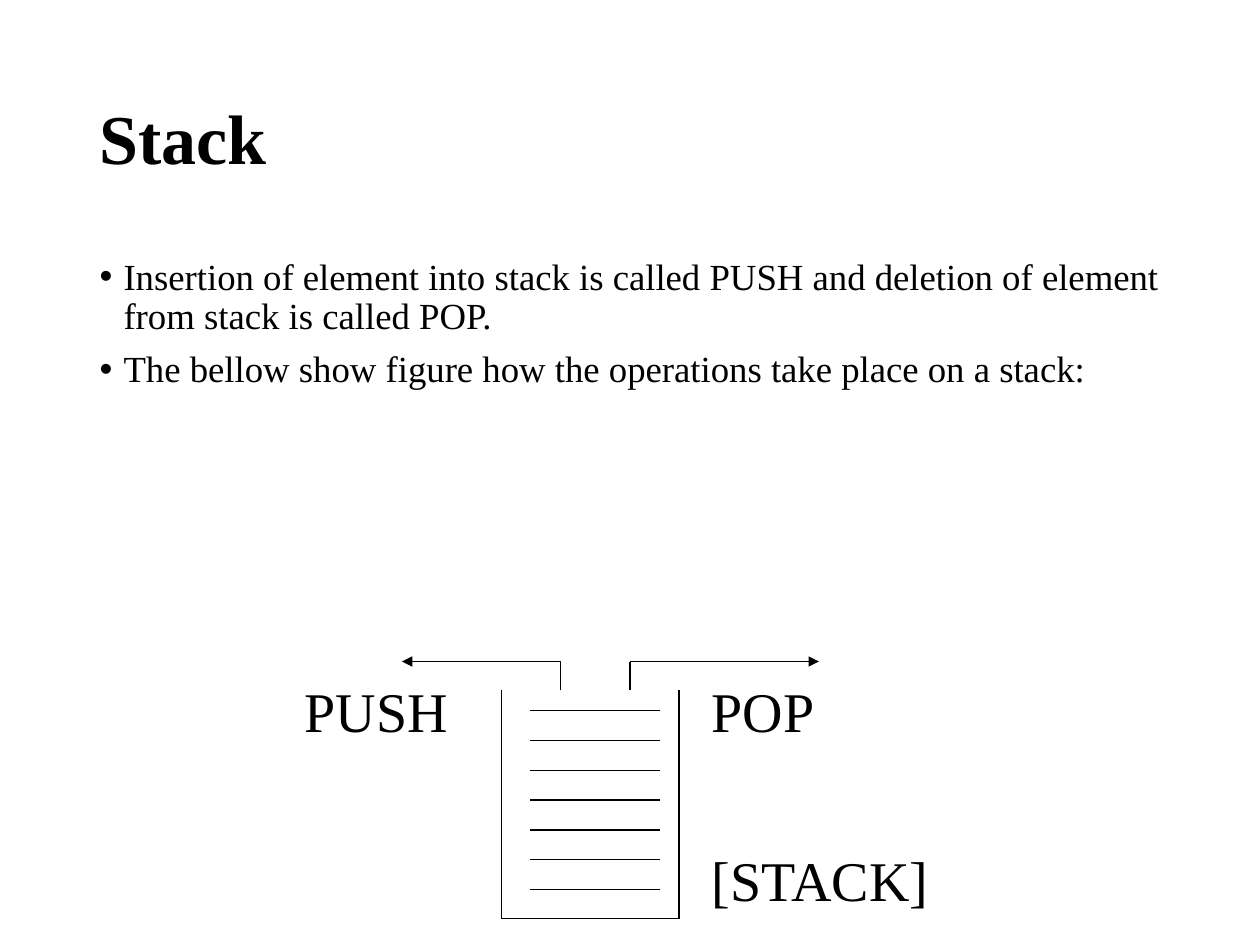
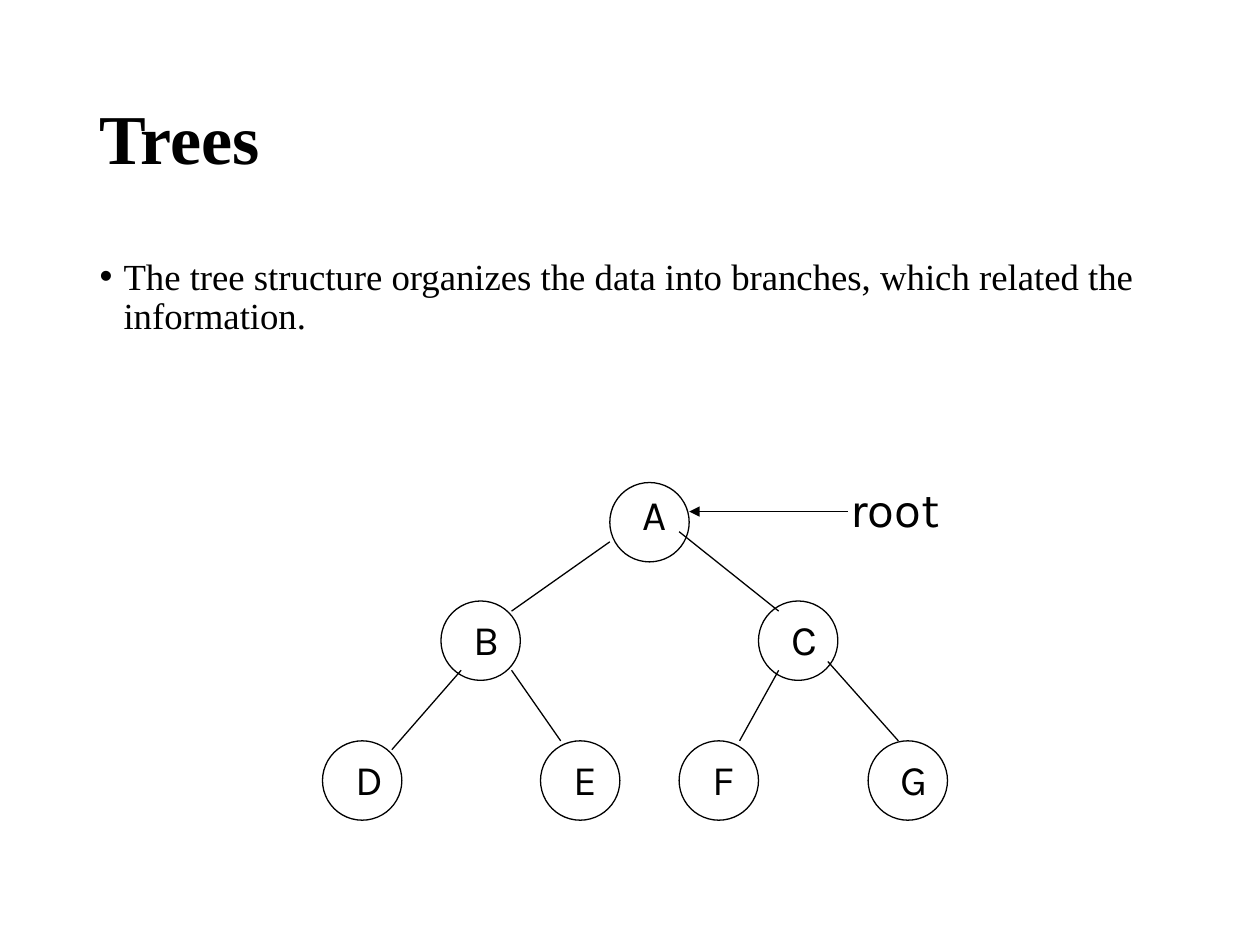
from pptx import Presentation
from pptx.dml.color import RGBColor
from pptx.enum.shapes import MSO_CONNECTOR, MSO_SHAPE
from pptx.enum.text import MSO_ANCHOR, MSO_AUTO_SIZE, PP_ALIGN
from pptx.oxml.ns import qn
from pptx.util import Inches, Pt
from lxml import etree

STRAIGHT = MSO_CONNECTOR.STRAIGHT
OVAL = MSO_SHAPE.OVAL
TOP, MIDDLE = MSO_ANCHOR.TOP, MSO_ANCHOR.MIDDLE
LEFT, CENTER = PP_ALIGN.LEFT, PP_ALIGN.CENTER
NO_FIT, GROW = MSO_AUTO_SIZE.NONE, MSO_AUTO_SIZE.SHAPE_TO_FIT_TEXT

COLORS = {"ink": "000000", "paper": "FFFFFF"}
SERIF = "Times New Roman"
SANS = "Karla"


class SlideBuilder:
    line_width = Pt(0.75)
    node_size = 0.63

    def __init__(self, deck):
        self.deck = deck
        self.page = None

    def color(self, name):
        return RGBColor.from_string(COLORS[name])

    def place(self, shape, left, top, width, height):
        shape.left, shape.top = Inches(left), Inches(top)
        shape.width, shape.height = Inches(width), Inches(height)

    def style_text(self, para, font, size, bold=False, align=LEFT):
        para.alignment = align
        for span in para.runs:
            span.font.name = font
            span.font.size = Pt(size)
            span.font.bold = bold
            span.font.color.rgb = self.color("ink")

    def new_page(self, title, bullets):
        self.page = self.deck.slides.add_slide(self.deck.slide_layouts[1])
        self.title(title)
        self.bullets(bullets)

    def title(self, text):
        box = self.page.shapes.title
        self.place(box, 0.69, 0.4, 8.63, 1.45)
        frame = box.text_frame
        frame.text = text
        frame.auto_size = NO_FIT
        frame.vertical_anchor = MIDDLE
        para = frame.paragraphs[0]
        para.line_spacing = 0.9
        self.style_text(para, SERIF, 40, bold=True)

    def bullets(self, lines):
        box = self.page.placeholders[1]
        self.place(box, 0.69, 2, 8.63, 4.76)
        frame = box.text_frame
        frame.text = "\n".join(lines)
        frame.auto_size = NO_FIT
        frame.vertical_anchor = TOP
        for para in frame.paragraphs:
            para.line_spacing = 0.9
            para.space_before = Pt(7.5)
            self.style_text(para, SERIF, 21)
            properties = para._p.get_or_add_pPr()
            properties.set("marL", str(Inches(0.19)))
            properties.set("indent", str(Inches(-0.19)))
            etree.SubElement(properties, qn("a:buChar")).set("char", "•")

    def label(self, text, left, top, width, height, font, size, align=LEFT, shapes=None):
        shapes = self.page.shapes if shapes is None else shapes
        box = shapes.add_textbox(Inches(left), Inches(top), Inches(width), Inches(height))
        frame = box.text_frame
        frame.text = text
        frame.word_wrap = True
        frame.auto_size = GROW
        self.style_text(frame.paragraphs[0], font, size, align=align)

    def line(self, start, end, arrow=False):
        connector = self.page.shapes.add_connector(
            STRAIGHT, *(Inches(value) for value in (*start, *end)))
        connector.line.color.rgb = self.color("ink")
        connector.line.width = self.line_width
        if arrow:
            outline = connector.line._get_or_add_ln()
            etree.SubElement(outline, qn("a:tailEnd")).set("type", "triangle")
        etree.SubElement(connector._element.spPr, qn("a:effectLst"))

    def node(self, letter, left, top, drop=0.05):
        group = self.page.shapes.add_group_shape()
        size = Inches(self.node_size)
        circle = group.shapes.add_shape(OVAL, Inches(left), Inches(top), size, size)
        circle.shadow.inherit = False
        circle.fill.solid()
        circle.fill.fore_color.rgb = self.color("paper")
        circle.line.color.rgb = self.color("ink")
        circle.line.width = self.line_width
        self.label(letter, left + 0.16, top + drop, 0.39, 0.5, SANS, 24, CENTER, group.shapes)


def build_stack(builder):
    builder.new_page("Stack", [
        "Insertion of element into stack is called PUSH and deletion of element "
        "from stack is called POP.",
        "The bellow show figure how the operations take place on a stack:",
    ])
    left, right, rim, base = 3.98, 5.39, 5.48, 7.29
    for side in (left, right):
        builder.line((side, rim), (side, base))
    builder.line((left, base), (right, base))

    first_level, level_gap = 5.64, 0.2367
    for index in range(7):
        level = first_level + index * level_gap
        builder.line((4.21, level), (5.24, level))

    arrow_level = 5.25
    for stem, tip in ((4.45, 3.19), (5, 6.5)):
        builder.line((stem, rim), (stem, arrow_level))
        builder.line((stem, arrow_level), (tip, arrow_level), arrow=True)

    for text, x, y, width in (
        ("PUSH", 2.32, 5.32, 1.57),
        ("POP", 5.55, 5.32, 1.34),
        ("[STACK]", 5.55, 6.66, 2.52),
    ):
        builder.label(text, x, y, width, 0.64, SERIF, 32)


def build_trees(builder):
    builder.new_page("Trees", [
        "The tree structure organizes the data into branches, which related the information.",
    ])
    builder.node("A", 4.84, 3.83, drop=0)
    child_rows = (
        (4.77, (("B", 3.5), ("C", 6.02))),
        (5.88, (("D", 2.56), ("E", 4.29), ("F", 5.39), ("G", 6.89))),
    )
    for top, children in child_rows:
        for letter, left in children:
            builder.node(letter, left, top)

    branches = (
        ((4.84, 4.3), (4.06, 4.85)),
        ((5.39, 4.22), (6.18, 4.85)),
        ((3.66, 5.32), (3.11, 5.95)),
        ((4.06, 5.32), (4.45, 5.88)),
        ((6.18, 5.32), (5.87, 5.88)),
        ((6.57, 5.25), (7.13, 5.88)),
    )
    for parent, child in branches:
        builder.line(parent, child)
    builder.line((6.73, 4.06), (5.47, 4.06), arrow=True)
    builder.label("root", 6.65, 3.75, 1.1, 0.57, SANS, 28)


def main():
    deck = Presentation()
    deck.slide_width, deck.slide_height = Inches(10), Inches(7.5)
    builder = SlideBuilder(deck)
    build_stack(builder)
    build_trees(builder)
    deck.save("out.pptx")


if __name__ == "__main__":
    main()
